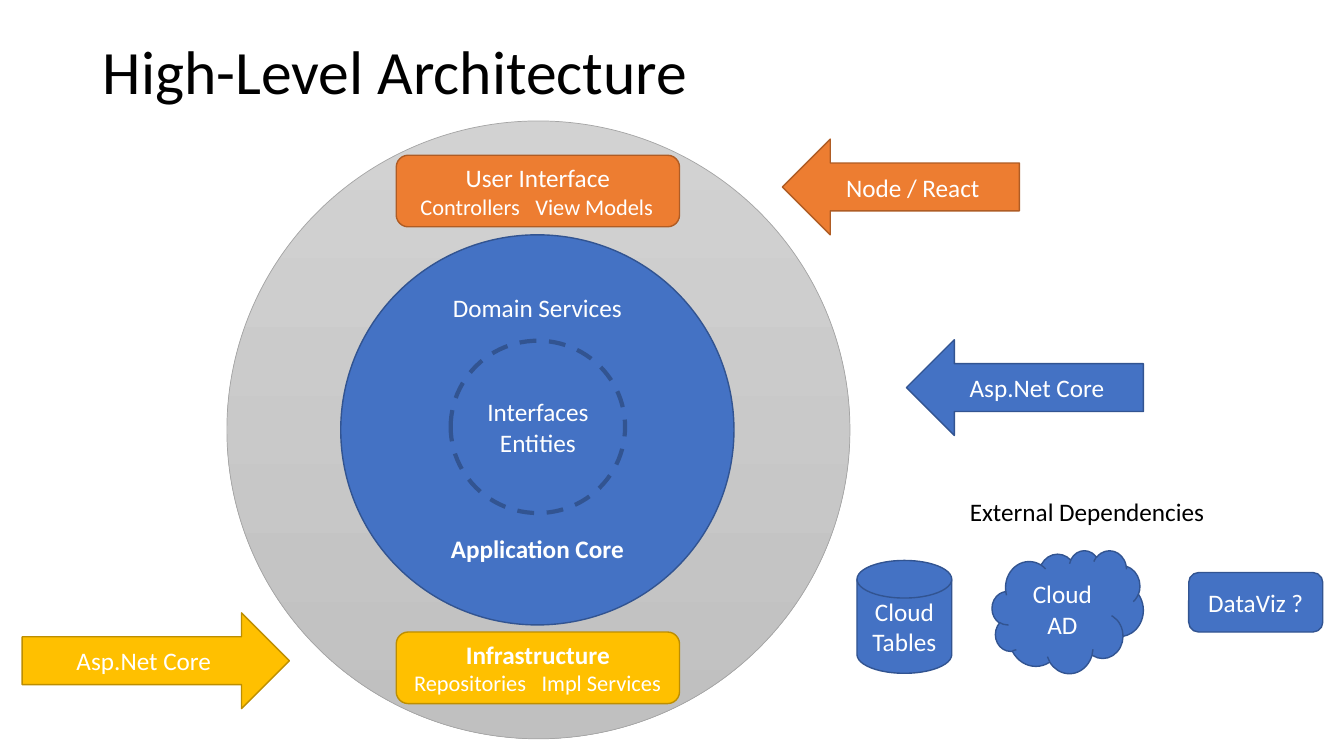
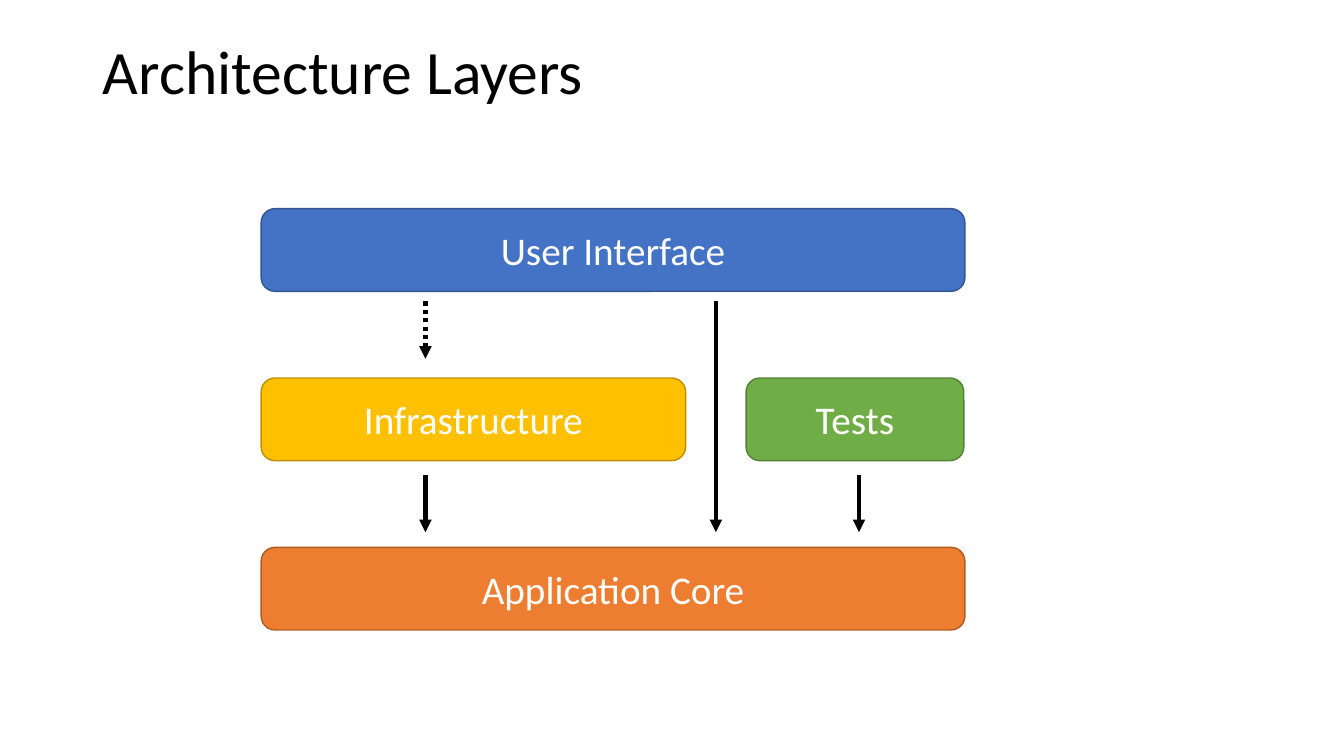
import pptx
import pptx.dml.color
import pptx.enum.dml
import pptx.enum.shapes
import pptx.enum.text
import pptx.oxml
import pptx.oxml.ns
import pptx.util

Inches = pptx.util.Inches
Pt = pptx.util.Pt
SHAPES = pptx.enum.shapes.MSO_SHAPE
DASHES = pptx.enum.dml.MSO_LINE
ANCHORS = pptx.enum.text.MSO_ANCHOR
ALIGN = pptx.enum.text.PP_ALIGN

FONT = "Calibri"
COLOURS = {
    "black": "000000", "white": "FFFFFF",
    "blue": "4472C4", "blue line": "325491",
    "orange": "ED7D31", "orange line": "AF5C24",
    "gold": "FFC000", "gold line": "BD8E00",
    "green": "70AD47", "green line": "538035",
    "ring top": "D2D2D2", "ring bottom": "C0C0C0", "ring line": "A5A5A5",
}


def colour(name):
    return pptx.dml.color.RGBColor.from_string(COLOURS[name])


def style_paragraph(para, size, colour_name="white", bold=False):
    for span in para.runs:
        span.font.name = FONT
        span.font.size = Pt(size)
        span.font.bold = bold
        span.font.color.rgb = colour(colour_name)


def add_titled_slide(deck, title):
    slide = deck.slides.add_slide(deck.slide_layouts[5])
    box = slide.shapes.title
    box.left, box.top = Inches(0.92), Inches(0.01)
    box.width, box.height = Inches(11.5), Inches(1.45)
    frame = box.text_frame
    frame.text = title
    frame.vertical_anchor = ANCHORS.MIDDLE
    para = frame.paragraphs[0]
    para.alignment = ALIGN.LEFT
    para.line_spacing = 0.9
    style_paragraph(para, 44, "black")
    return slide


def add_block(slide, kind, place, fill, text="", size=18, line_width=1):
    """Add a filled shape with centred white text; place is left, top, width, height."""
    box = slide.shapes.add_shape(kind, *map(Inches, place))
    box.shadow.inherit = False
    box.fill.solid()
    box.fill.fore_color.rgb = colour(fill)
    box.line.color.rgb = colour(fill + " line")
    box.line.width = Pt(line_width)
    frame = box.text_frame
    frame.text = text
    frame.word_wrap = True
    frame.vertical_anchor = ANCHORS.MIDDLE
    for para in frame.paragraphs:
        para.alignment = ALIGN.CENTER
        style_paragraph(para, size)
    return box


def add_ring(slide, place):
    ring = slide.shapes.add_shape(SHAPES.OVAL, *map(Inches, place))
    ring.shadow.inherit = False
    ring.fill.gradient()
    ring.fill.gradient_angle = 270
    for stop, name in zip(ring.fill.gradient_stops, ("ring top", "ring bottom")):
        stop.color.rgb = colour(name)
    ring.line.color.rgb = colour("ring line")
    ring.line.width = Pt(0.5)


def add_layer(slide, top, fill, heading, parts, centres, bold=False):
    """Add a box with a heading over two parts centred on tab stops."""
    text = heading + "\n" + "".join("\t" + part for part in parts)
    box = add_block(slide, SHAPES.ROUNDED_RECTANGLE, (3.93, top, 2.81, 0.71), fill, text)
    heading_para, parts_para = box.text_frame.paragraphs
    style_paragraph(heading_para, 18, bold=bold)
    style_paragraph(parts_para, 16)
    parts_para.alignment = ALIGN.LEFT
    tabs = pptx.oxml.parse_xml("<a:tabLst %s/>" % pptx.oxml.ns.nsdecls("a"))
    for centre in centres:
        tab = tabs.makeelement(pptx.oxml.ns.qn("a:tab"),
                               {"pos": str(Inches(centre)), "algn": "ctr"})
        tabs.append(tab)
    parts_para._p.get_or_add_pPr().append(tabs)


def add_down_arrow(slide, x, top, bottom, dash=None):
    arrow = slide.shapes.add_connector(
        pptx.enum.shapes.MSO_CONNECTOR.STRAIGHT,
        Inches(x), Inches(top), Inches(x), Inches(bottom))
    arrow.line.color.rgb = colour("black")
    arrow.line.width = Pt(3)
    if dash is not None:
        arrow.line.dash_style = dash
    namespace = pptx.oxml.ns.nsdecls("a")
    arrow.line._get_or_add_ln().append(
        pptx.oxml.parse_xml('<a:tailEnd %s type="triangle"/>' % namespace))
    arrow._element.spPr.append(pptx.oxml.parse_xml("<a:effectLst %s/>" % namespace))


def add_label(slide, place, text):
    box = slide.shapes.add_textbox(*map(Inches, place))
    frame = box.text_frame
    frame.text = text
    frame.word_wrap = False
    frame.auto_size = pptx.enum.text.MSO_AUTO_SIZE.SHAPE_TO_FIT_TEXT
    style_paragraph(frame.paragraphs[0], 18, "black")


def build_overview(deck):
    slide = add_titled_slide(deck, "High-Level Architecture")

    # Concentric circles
    add_ring(slide, (2.25, 1.2, 6.18, 6.13))
    core = add_block(slide, SHAPES.OVAL, (3.38, 2.33, 3.9, 3.87), "blue",
                     "Domain Services\nApplication Core")
    frame = core.text_frame
    frame.vertical_anchor = ANCHORS.TOP
    frame.margin_top = frame.margin_bottom = 0
    core_para = frame.paragraphs[1]
    core_para.space_before = Pt(151)
    style_paragraph(core_para, 18, bold=True)
    centre = add_block(slide, SHAPES.OVAL, (4.47, 3.38, 1.73, 1.71), "blue",
                       "Interfaces\nEntities", line_width=3)
    centre.line.dash_style = DASHES.DASH

    # Layers on the outer ring
    add_layer(slide, 1.54, "orange", "User Interface",
              ("Controllers", "View Models"), (0.6, 1.83))
    add_layer(slide, 6.27, "gold", "Infrastructure",
              ("Repositories", "Impl Services"), (0.6, 1.9), bold=True)

    # Technologies pointing at the layers
    for kind, left, top, width, fill, text in (
            (SHAPES.LEFT_ARROW, 7.76, 1.38, 2.35, "orange", "Node / React"),
            (SHAPES.LEFT_ARROW, 8.99, 3.37, 2.35, "blue", "Asp.Net Core"),
            (SHAPES.RIGHT_ARROW, 0.22, 6.08, 2.65, "gold", "Asp.Net Core")):
        add_block(slide, kind, (left, top, width, 0.95), fill, text)

    # External dependencies
    add_label(slide, (9.52, 4.87, 2.56, 0.4), "External Dependencies")
    for kind, place, text in (
            (SHAPES.FLOWCHART_MAGNETIC_DISK, (8.5, 5.56, 0.94, 1.12), "Cloud Tables"),
            (SHAPES.CLOUD, (9.84, 5.46, 1.5, 1.22), "Cloud AD"),
            (SHAPES.ROUNDED_RECTANGLE, (11.79, 5.68, 1.33, 0.59), "DataViz ?")):
        add_block(slide, kind, place, "blue", text)


def build_layers(deck):
    slide = add_titled_slide(deck, "Architecture Layers")

    # Layer boxes on three evenly spaced rows
    first_top, row_step = 2.07, 1.68
    for row, left, width, fill, text in (
            (0, 2.59, 6.98, "blue", "User Interface"),
            (1, 2.59, 4.21, "gold", "Infrastructure"),
            (1, 7.4, 2.16, "green", "Tests"),
            (2, 2.59, 6.98, "orange", "Application Core")):
        add_block(slide, SHAPES.ROUNDED_RECTANGLE,
                  (left, first_top + row * row_step, width, 0.82), fill, text, size=28)

    # Dependencies between the layers
    add_down_arrow(slide, 4.22, 2.99, 3.56, DASHES.ROUND_DOT)
    for x, top in ((4.22, 4.71), (8.52, 4.71), (7.1, 2.99)):
        add_down_arrow(slide, x, top, 5.28)


def main():
    deck = pptx.Presentation()
    deck.slide_width, deck.slide_height = Inches(13.33), Inches(7.5)
    build_overview(deck)
    build_layers(deck)
    deck.save("out.pptx")


if __name__ == "__main__":
    main()
